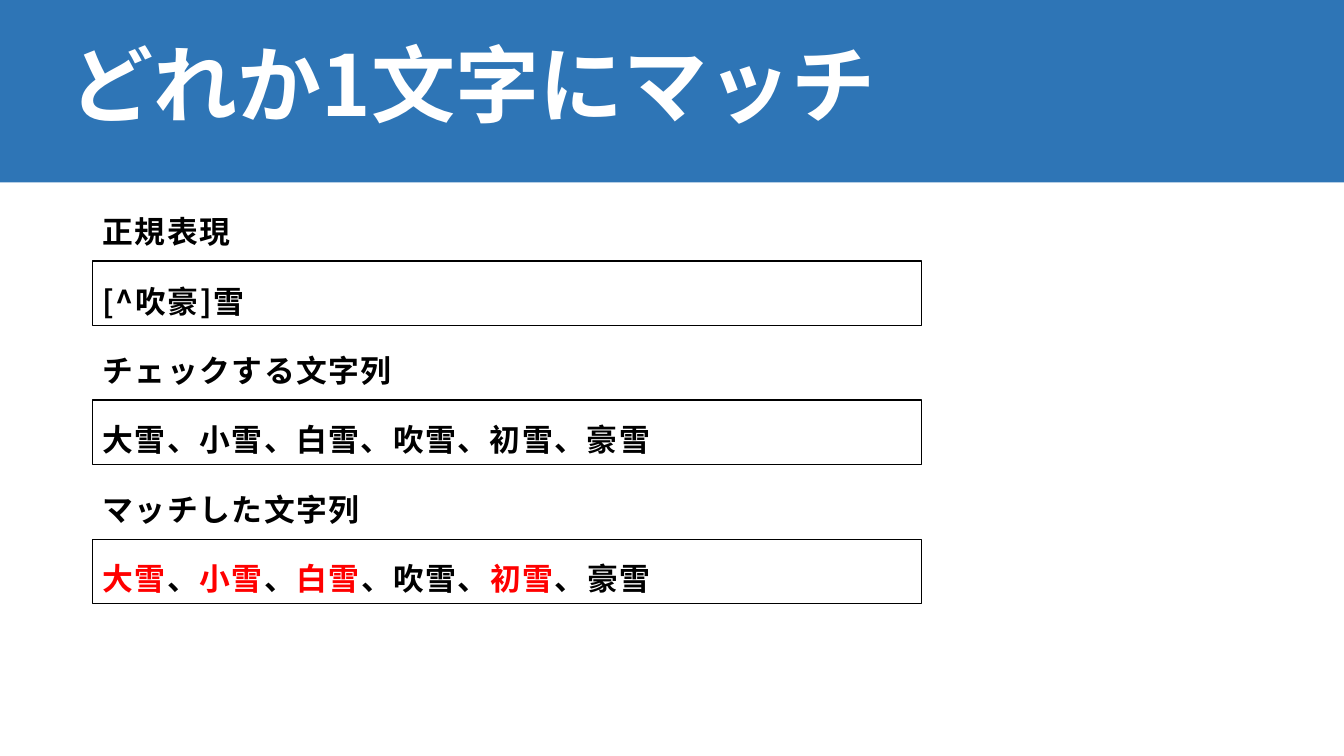
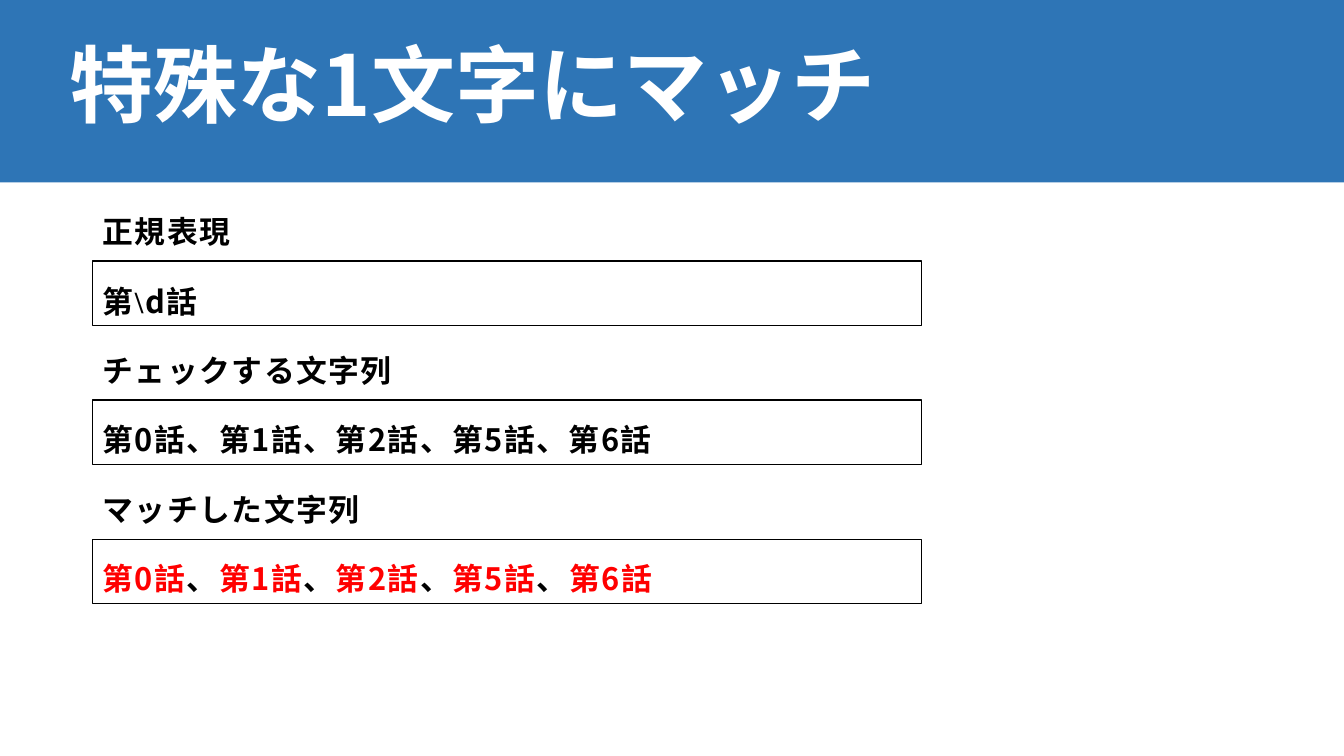
from lxml import etree
from pptx import Presentation
from pptx.dml.color import RGBColor
from pptx.enum.shapes import MSO_SHAPE
from pptx.enum.text import MSO_ANCHOR
from pptx.oxml.ns import qn
from pptx.util import Inches, Pt

RECTANGLE = MSO_SHAPE.RECTANGLE
TOP, MIDDLE = MSO_ANCHOR.TOP, MSO_ANCHOR.MIDDLE

COLOURS = {"band": "2E75B6", "title": "FFFFFF", "text": "000000", "match": "FF0000"}
SANS, SERIF = "Noto Sans CJK JP", "Times New Roman"

TITLE_FONT = {"size": Pt(60), "bold": True}
BODY_FONT = {"size": Pt(22), "bold": True}
TITLE_PARAGRAPH = {"line_spacing": 0.9}
BODY_PARAGRAPH = {"line_spacing": 1.5, "space_before": Pt(10)}
BODY_TRACKING = 110  # hundredths of a point

SLIDE_WIDTH, SLIDE_HEIGHT = 13.33, 7.5
BODY_LEFT, TEXT_WIDTH = 0.92, 11.5
FRAME_TOP, FRAME_STEP, FRAME_COUNT = 2.59, 1.38, 3
SEPARATOR = "、"

LESSONS = [
    {
        "title": "どれか1文字にマッチ",
        "pattern": [("[^吹豪]雪", SANS)],
        "words": ["大雪", "小雪", "白雪", "吹雪", "初雪", "豪雪"],
        "matches": ["大雪", "小雪", "白雪", "初雪"],
    },
    {
        "title": "特殊な1文字にマッチ",
        "pattern": [("第", SANS), ("\\", SERIF), ("d話", SANS)],
        "words": ["第0話", "第1話", "第2話", "第5話", "第6話"],
        "matches": ["第0話", "第1話", "第2話", "第5話", "第6話"],
    },
]


def colour(name):
    return RGBColor.from_string(COLOURS[name])


def apply_format(target, values):
    for name, value in values.items():
        setattr(target, name, value)


def add_rectangle(page, left, top, width, height, fill=None, line=None):
    box = page.shapes.add_shape(
        RECTANGLE, Inches(left), Inches(top), Inches(width), Inches(height))
    box.shadow.inherit = False
    if fill:
        box.fill.solid()
        box.fill.fore_color.rgb = colour(fill)
    else:
        box.fill.background()
    if line:
        box.line.color.rgb = colour(line)
        box.line.width = Pt(1)
    else:
        box.line.fill.background()


def add_span(para, text, font_format, colour_name, typeface=SANS, tracking=None):
    span = para.add_run()
    span.text = text
    apply_format(span.font, font_format)
    span.font.color.rgb = colour(colour_name)
    span.font.name = typeface
    # East Asian typeface and letter spacing
    properties = span.font._element
    etree.SubElement(properties, qn("a:ea"), typeface=typeface)
    if tracking:
        properties.set("spc", str(tracking))


def add_text_box(page, left, top, width, height, anchor):
    box = page.shapes.add_textbox(
        Inches(left), Inches(top), Inches(width), Inches(height))
    apply_format(box.text_frame, {"word_wrap": True, "vertical_anchor": anchor})
    return box.text_frame


def add_title(page, title):
    add_rectangle(page, 0, 0, SLIDE_WIDTH, 1.81, fill="band")
    para = add_text_box(page, 0.59, 0.16, TEXT_WIDTH, 1.45, MIDDLE).paragraphs[0]
    apply_format(para, TITLE_PARAGRAPH)
    add_span(para, title, TITLE_FONT, "title")


def matched_spans(words, matches):
    spans = []
    for index, word in enumerate(words):
        if index:
            spans.append((SEPARATOR, "text", SANS))
        spans.append((word, "match" if word in matches else "text", SANS))
    return spans


def add_body(page, lesson):
    words = lesson["words"]
    lines = [
        [("正規表現", "text", SANS)],
        [(text, "text", typeface) for text, typeface in lesson["pattern"]],
        [("チェックする文字列", "text", SANS)],
        [(SEPARATOR.join(words), "text", SANS)],
        [("マッチした文字列", "text", SANS)],
        matched_spans(words, lesson["matches"]),
    ]
    frame = add_text_box(page, BODY_LEFT, 1.88, TEXT_WIDTH, 4.76, TOP)
    for index, spans in enumerate(lines):
        para = frame.add_paragraph() if index else frame.paragraphs[0]
        apply_format(para, BODY_PARAGRAPH)
        for text, colour_name, typeface in spans:
            add_span(para, text, BODY_FONT, colour_name, typeface, BODY_TRACKING)


def add_frames(page):
    for index in range(FRAME_COUNT):
        add_rectangle(page, BODY_LEFT, FRAME_TOP + index * FRAME_STEP,
                      8.22, 0.64, line="text")


def main():
    deck = Presentation()
    deck.slide_width, deck.slide_height = Inches(SLIDE_WIDTH), Inches(SLIDE_HEIGHT)
    blank_layout = deck.slide_layouts[6]
    for lesson in LESSONS:
        page = deck.slides.add_slide(blank_layout)
        add_title(page, lesson["title"])
        add_body(page, lesson)
        add_frames(page)
    deck.save("out.pptx")


if __name__ == "__main__":
    main()
